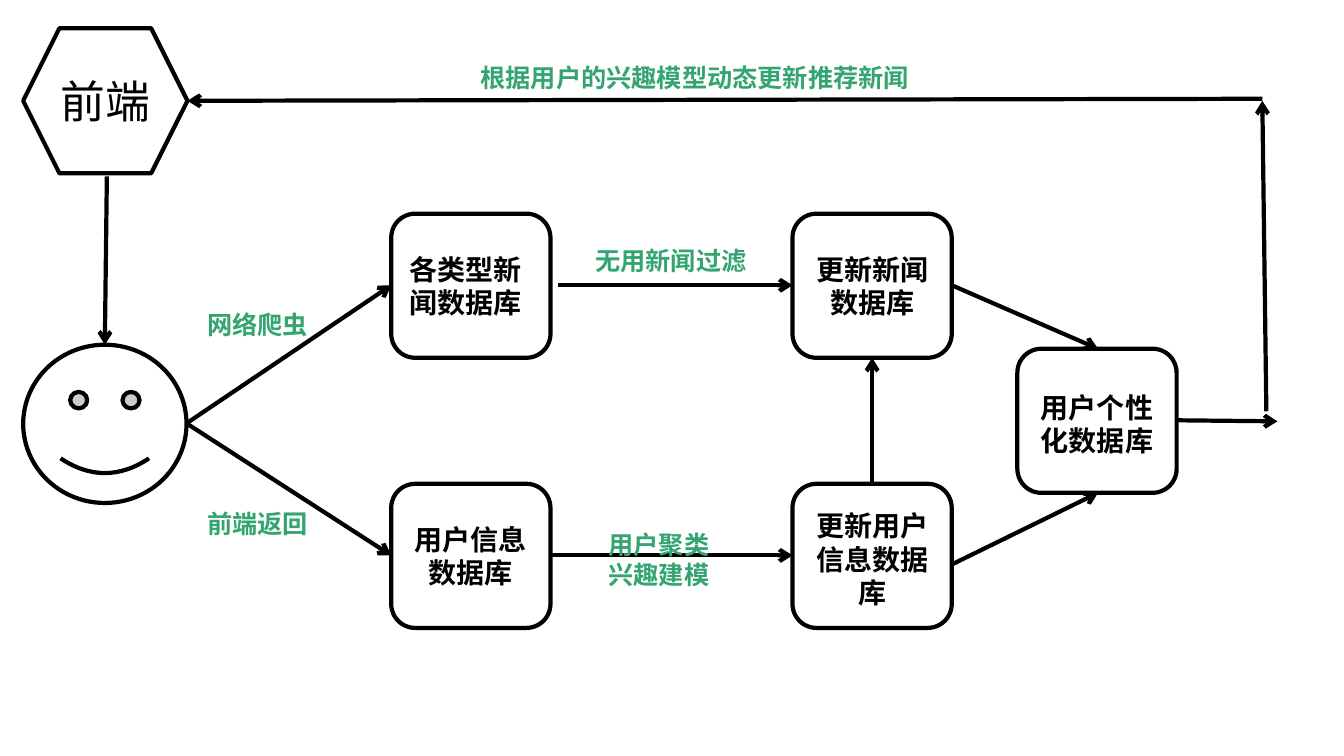
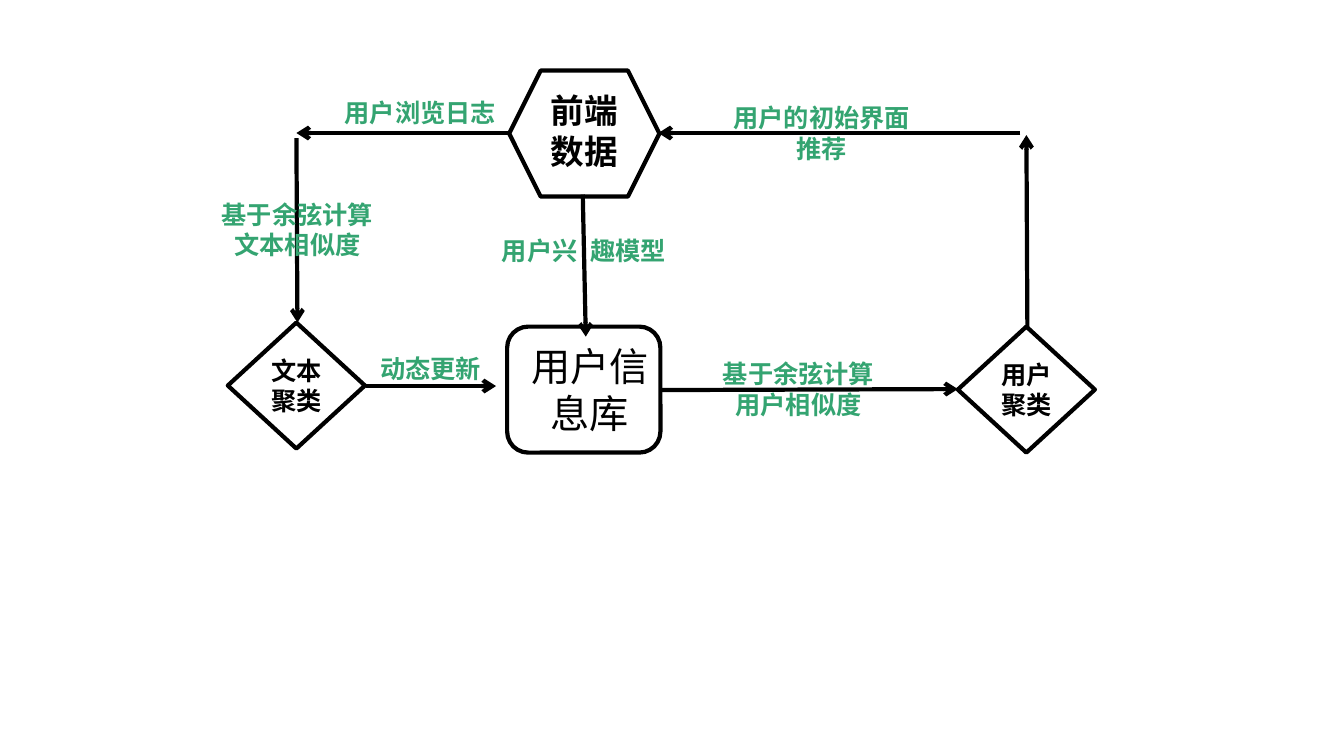
from pptx import Presentation
from pptx.dml.color import RGBColor
from pptx.enum.shapes import MSO_CONNECTOR, MSO_SHAPE
from pptx.enum.text import MSO_AUTO_SIZE, PP_ALIGN
from pptx.oxml.ns import qn
from pptx.util import Inches, Pt
from lxml import etree

HEX = MSO_SHAPE.HEXAGON
ROUND = MSO_SHAPE.ROUNDED_RECTANGLE
DIAMOND = MSO_SHAPE.DIAMOND
SMILEY = MSO_SHAPE.SMILEY_FACE
STRAIGHT = MSO_CONNECTOR.STRAIGHT
LEFT, CENTER = PP_ALIGN.LEFT, PP_ALIGN.CENTER
FIT = MSO_AUTO_SIZE.SHAPE_TO_FIT_TEXT

COLORS = {"ink": "000000", "paper": "FFFFFF", "note": "34A471"}
FONT = "Arial"
STROKE = Pt(3)
NOTE_SIZE = 18
BOX = (1.58, 1.43)
GEM = (1.36, 1.25)


def color(name):
    return RGBColor.from_string(COLORS[name])


def add_text(slide, left, top, width, text, size, ink="ink",
             lines=1, bold=True, align=CENTER):
    height = 0.1 + lines * size / 60
    box = slide.shapes.add_textbox(
        Inches(left), Inches(top), Inches(width), Inches(height))
    frame = box.text_frame
    frame.word_wrap = True
    frame.auto_size = FIT
    frame.text = text
    for para in frame.paragraphs:
        para.alignment = align
        para.font.name = FONT
        para.font.size = Pt(size)
        para.font.bold = bold
        para.font.color.rgb = color(ink)


def add_shape(slide, kind, left, top, width, height):
    shape = slide.shapes.add_shape(
        kind, Inches(left), Inches(top), Inches(width), Inches(height))
    shape.shadow.inherit = False
    shape.fill.solid()
    shape.fill.fore_color.rgb = color("paper")
    shape.line.color.rgb = color("ink")
    shape.line.width = STROKE


def add_node(slide, kind, spot, area, text, size, wide, lines=2,
             shift=(0, 0), bold=True, align=CENTER):
    add_shape(slide, kind, *spot, *area)
    tall = 0.1 + lines * size / 60
    left = spot[0] + (area[0] - wide) / 2 + shift[0]
    top = spot[1] + (area[1] - tall) / 2 + shift[1]
    add_text(slide, left, top, wide, text, size,
             lines=lines, bold=bold, align=align)


def add_box(slide, left, top, text, **style):
    add_node(slide, ROUND, (left, top), BOX, text, 20, 1.42, **style)


def add_gem(slide, left, top, text):
    add_node(slide, DIAMOND, (left, top), GEM, text, 18, 0.84)


def add_arrow(slide, start, end):
    arrow = slide.shapes.add_connector(
        STRAIGHT, *[Inches(value) for value in (*start, *end)])
    arrow.line.color.rgb = color("ink")
    arrow.line.width = STROKE
    tail = etree.SubElement(arrow.line._get_or_add_ln(), qn("a:tailEnd"))
    tail.set("type", "arrow")
    etree.SubElement(arrow._element.spPr, qn("a:effectLst"))


def add_note(slide, left, top, width, text, lines=1):
    add_text(slide, left, top, width, text, NOTE_SIZE, "note", lines)


def draw_flow(slide):
    add_shape(slide, SMILEY, 0.23, 3.42, 1.62, 1.57)
    add_node(slide, HEX, (0.23, 0.28), (1.63, 1.44), "前端", 32, 1.29,
             lines=1, bold=False)
    add_box(slide, 3.88, 2.12, "各类型新闻数据库", align=LEFT)
    add_box(slide, 3.88, 4.8, "用户信息数据库")
    add_box(slide, 7.86, 2.12, "更新新闻数据库")
    add_box(slide, 7.86, 4.8, "更新用户信息数据库", lines=3, shift=(0, 0.03))
    add_box(slide, 10.09, 3.46, "用户个性化数据库", shift=(0, 0.03))

    face = (1.85, 4.2)
    for start, end in (
        ((1.06, 1.75), (1.04, 3.42)),
        (face, (3.88, 2.83)),
        (face, (3.88, 5.51)),
        ((5.53, 2.83), (7.86, 2.83)),
        ((5.46, 5.51), (7.86, 5.51)),
        ((8.65, 4.8), (8.65, 3.55)),
        ((9.44, 2.83), (10.89, 3.46)),
        ((9.44, 5.6), (10.89, 4.89)),
        ((11.68, 4.17), (12.67, 4.18)),
        ((12.56, 4.08), (12.52, 1)),
        ((12.52, 0.98), (1.86, 1)),
    ):
        add_arrow(slide, start, end)

    add_note(slide, 1.69, 3.02, 1.73, "网络爬虫")
    add_note(slide, 1.69, 4.99, 1.73, "前端返回")
    add_note(slide, 5.67, 5.2, 1.73, "用户聚类\n兴趣建模", 2)
    add_note(slide, 5.79, 2.38, 1.73, "无用新闻过滤")
    add_note(slide, 4.2, 0.57, 5.38, "根据用户的兴趣模型动态更新推荐新闻")


def draw_model(slide):
    add_node(slide, HEX, (5.05, 0.7), (1.49, 1.25), "前端数据", 24, 0.92,
             shift=(0, -0.03))
    add_node(slide, ROUND, (5.03, 3.24), (1.52, 1.25), "用户信息库", 28, 1.39,
             shift=(0.06, 0), bold=False)
    add_gem(slide, 9.5, 3.24, "用户聚类")
    add_gem(slide, 2.26, 3.2, "文本聚类")

    for start, end in (
        ((5.78, 1.93), (5.81, 3.34)),
        ((6.55, 3.87), (9.5, 3.86)),
        ((10.19, 3.24), (10.18, 1.34)),
        ((10.12, 1.32), (6.53, 1.32)),
        ((5.05, 1.32), (2.94, 1.32)),
        ((2.94, 1.37), (2.95, 3.2)),
        ((3.63, 3.83), (4.92, 3.83)),
    ):
        add_arrow(slide, start, end)

    for left, top, text, lines in (
        (4.79, 2.29, "用户兴\u2002趣模型", 1),
        (6.92, 3.51, "基于余弦计算\n用户相似度", 2),
        (7.15, 0.97, "用户的初始界面推荐", 2),
        (3.17, 0.92, "用户浏览日志", 1),
        (1.95, 1.93, "基于余弦计算\n文本相似度", 2),
        (3.27, 3.46, "动态更新", 1),
    ):
        add_note(slide, left, top, 2, text, lines)


def main():
    deck = Presentation()
    deck.slide_width = Inches(13.33)
    deck.slide_height = Inches(7.5)
    for draw in (draw_flow, draw_model):
        draw(deck.slides.add_slide(deck.slide_layouts[6]))
    deck.save("out.pptx")


main()
